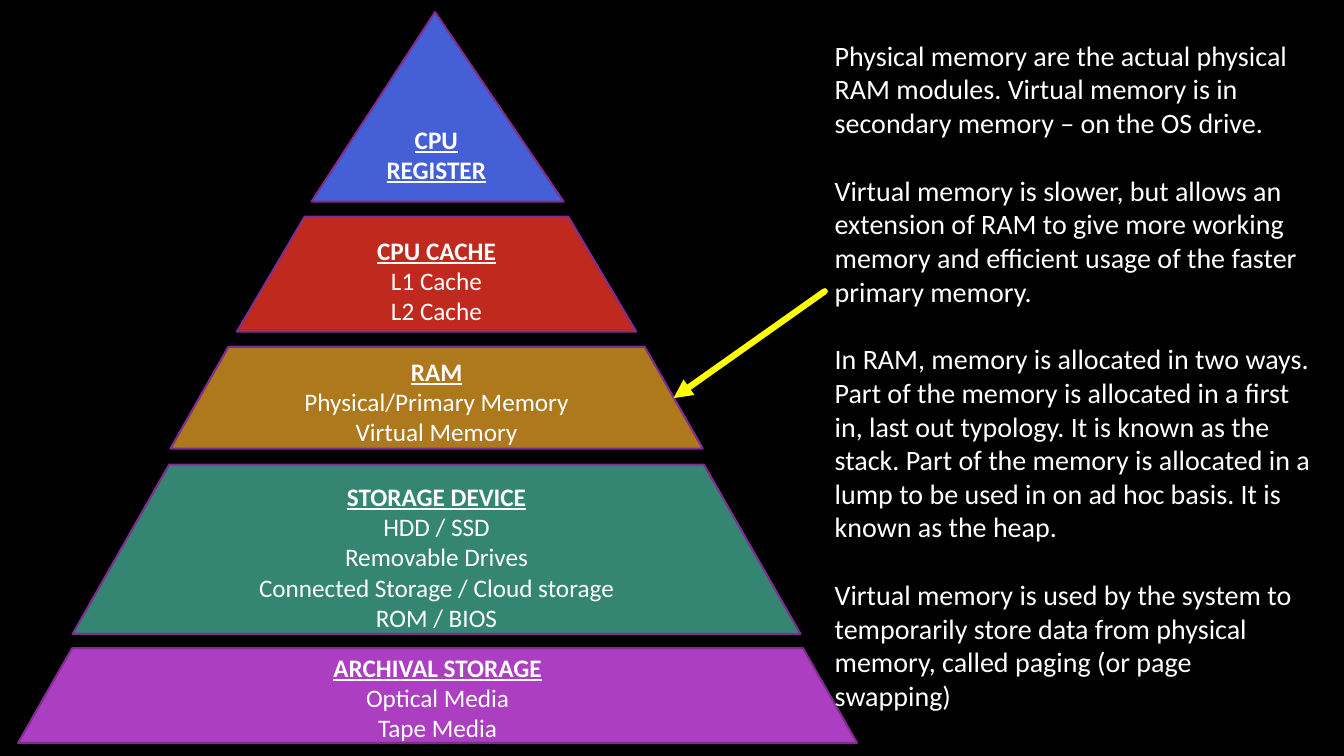
from lxml.etree import SubElement
from pptx import Presentation
from pptx.dml.color import RGBColor
from pptx.enum.shapes import MSO_CONNECTOR, MSO_SHAPE
from pptx.enum.text import MSO_ANCHOR, MSO_AUTO_SIZE, PP_ALIGN
from pptx.oxml.ns import qn
from pptx.util import Pt

EMU_PER_PX = 9144  # 100 px to the inch
WHITE, BLACK, YELLOW, OUTLINE = "FFFFFF", "000000", "FFFF00", "7F2E8F"
LEVEL_FONT = {"name": "Calibri", "size": Pt(18)}
HEADING_FONT = LEVEL_FONT | {"bold": True, "underline": True}
NOTE_FONT = {"name": "Calibri", "size": Pt(20)}

# preset, adjustment, (left, top, width, height), fill, heading, items
LEVELS = [
    (MSO_SHAPE.ISOSCELES_TRIANGLE, 0.49, (309, 12, 250, 188), "455FD6",
     "CPU REGISTER", []),
    (MSO_SHAPE.TRAPEZOID, 0.59, (235, 215, 396, 114), "C02A1E",
     "CPU CACHE", ["L1 Cache", "L2 Cache"]),
    (MSO_SHAPE.TRAPEZOID, 0.57, (169, 344, 528, 101), "AE781D",
     "RAM", ["Physical/Primary Memory", "Virtual Memory"]),
    (MSO_SHAPE.TRAPEZOID, 0.57, (72, 461, 722, 168), "348672",
     "STORAGE DEVICE", ["HDD / SSD", "Removable Drives",
                        "Connected Storage / Cloud storage", "ROM / BIOS"]),
    (MSO_SHAPE.TRAPEZOID, 0.57, (18, 643, 832, 94), "AC3EC1",
     "ARCHIVAL STORAGE", ["Optical Media", "Tape Media"]),
]

NOTES = [
    "Physical memory are the actual physical RAM modules. Virtual memory is in "
    "secondary memory – on the OS drive.",
    "Virtual memory is slower, but allows an extension of RAM to give more "
    "working memory and efficient usage of the faster primary memory.",
    "In RAM, memory is allocated in two ways. Part of the memory is allocated "
    "in a first in, last out typology. It is known as the stack. Part of the "
    "memory is allocated in a lump to be used in on ad hoc basis. It is known "
    "as the heap.",
    "Virtual memory is used by the system to temporarily store data from "
    "physical memory, called paging (or page swapping)",
]


def px(*lengths):
    return [length * EMU_PER_PX for length in lengths]


def color(hex_string):
    return RGBColor.from_string(hex_string)


def write_paragraphs(text_frame, paragraphs, alignment, gap=0):
    """Write (text, font values) pairs, with gap points between paragraphs."""
    text_frame.word_wrap = True
    for index, (text, font_values) in enumerate(paragraphs):
        paragraph = text_frame.add_paragraph() if index else text_frame.paragraphs[0]
        paragraph.alignment = alignment
        paragraph.space_before = Pt(gap if index else 0)
        run = paragraph.add_run()
        run.text = text
        run.font.color.rgb = color(WHITE)
        for name, value in font_values.items():
            setattr(run.font, name, value)


def add_level(slide, preset, adjustment, box, fill, heading, items):
    shape = slide.shapes.add_shape(preset, *px(*box))
    shape.adjustments[0] = adjustment
    shape.shadow.inherit = False
    shape.fill.solid()
    shape.fill.fore_color.rgb = color(fill)
    shape.line.color.rgb = color(OUTLINE)
    shape.line.width = Pt(1.5)
    shape.text_frame.vertical_anchor = MSO_ANCHOR.MIDDLE
    paragraphs = [(heading, HEADING_FONT)] + [(item, LEVEL_FONT) for item in items]
    write_paragraphs(shape.text_frame, paragraphs, PP_ALIGN.CENTER)


def add_notes_text(slide, box, notes):
    text_frame = slide.shapes.add_textbox(*px(*box)).text_frame
    write_paragraphs(text_frame, [(note, NOTE_FONT) for note in notes],
                     PP_ALIGN.LEFT, gap=24.4)
    text_frame.auto_size = MSO_AUTO_SIZE.SHAPE_TO_FIT_TEXT


def add_arrow(slide, start, end):
    connector = slide.shapes.add_connector(MSO_CONNECTOR.STRAIGHT, *px(*start, *end))
    connector.line.color.rgb = color(YELLOW)
    connector.line.width = Pt(4.5)
    line = connector.line._get_or_add_ln()
    line.set("cap", "rnd")
    SubElement(line, qn("a:tailEnd"), type="triangle")
    SubElement(connector._element.spPr, qn("a:effectLst"))


def main():
    presentation = Presentation()
    presentation.slide_width, presentation.slide_height = px(1333, 750)
    slide = presentation.slides.add_slide(presentation.slide_layouts[6])
    slide.background.fill.solid()
    slide.background.fill.fore_color.rgb = color(BLACK)
    for level in LEVELS:
        add_level(slide, *level)
    add_notes_text(slide, (818, 33, 492, 683), NOTES)
    add_arrow(slide, (818, 289), (668, 395))
    presentation.save("out.pptx")


if __name__ == "__main__":
    main()
